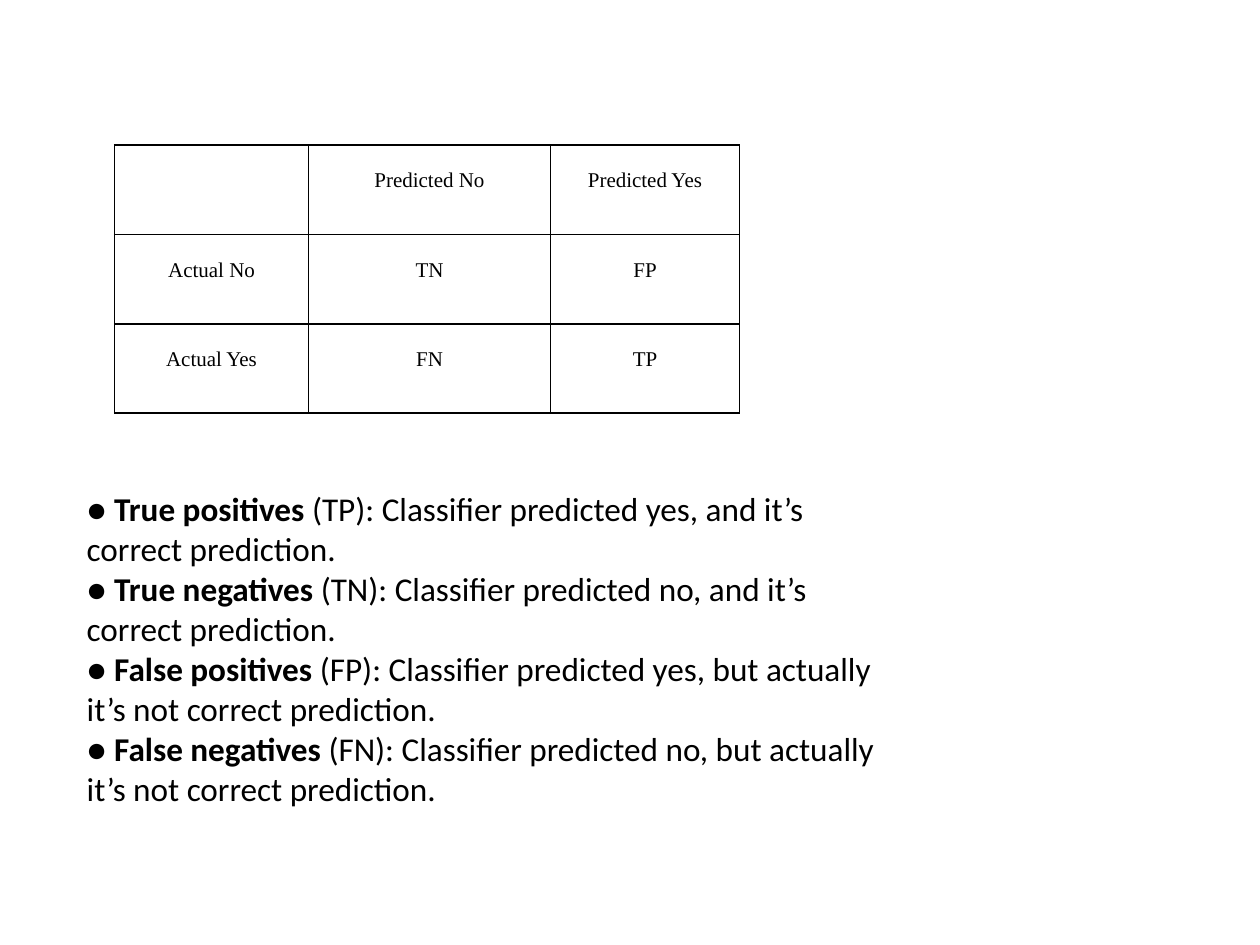
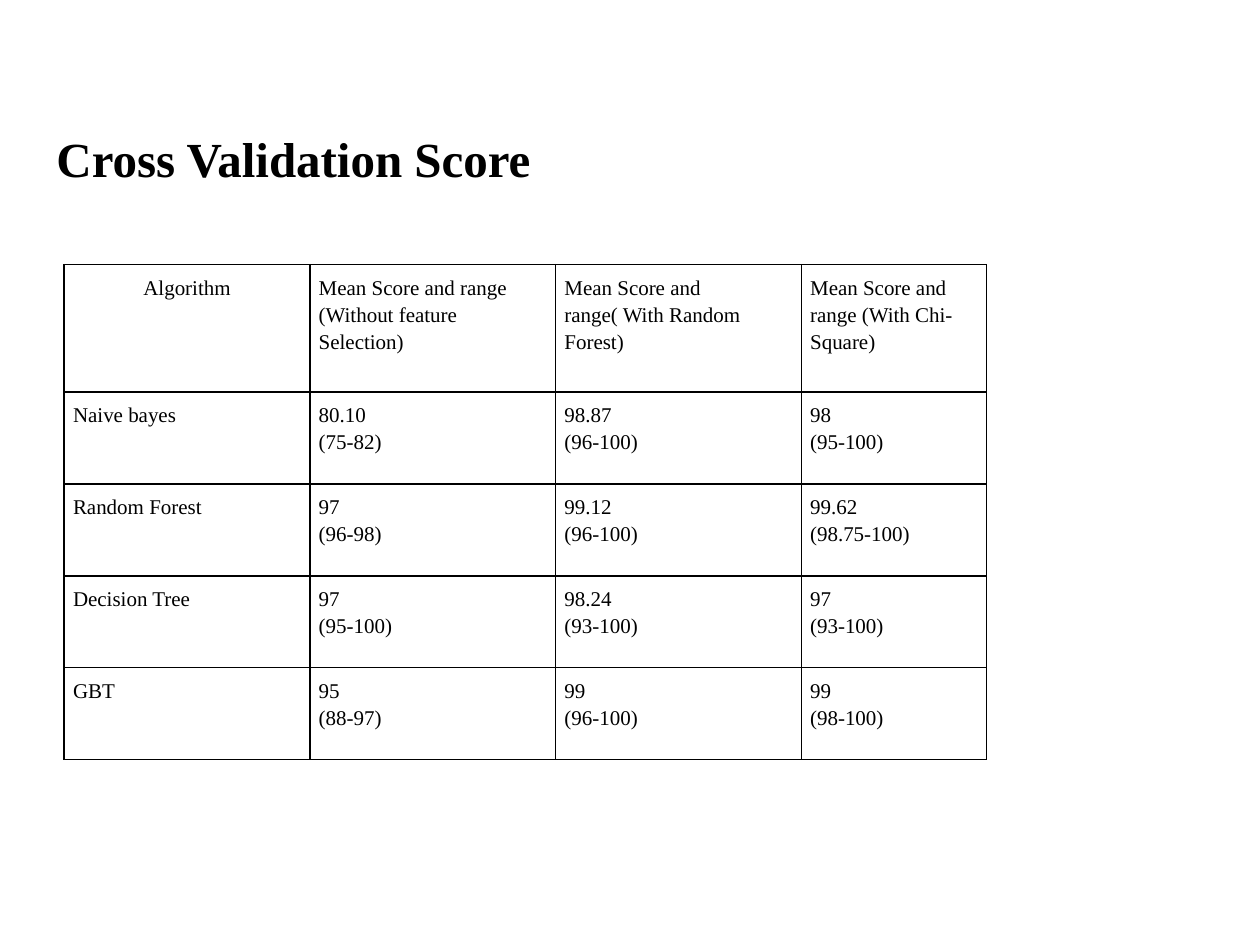
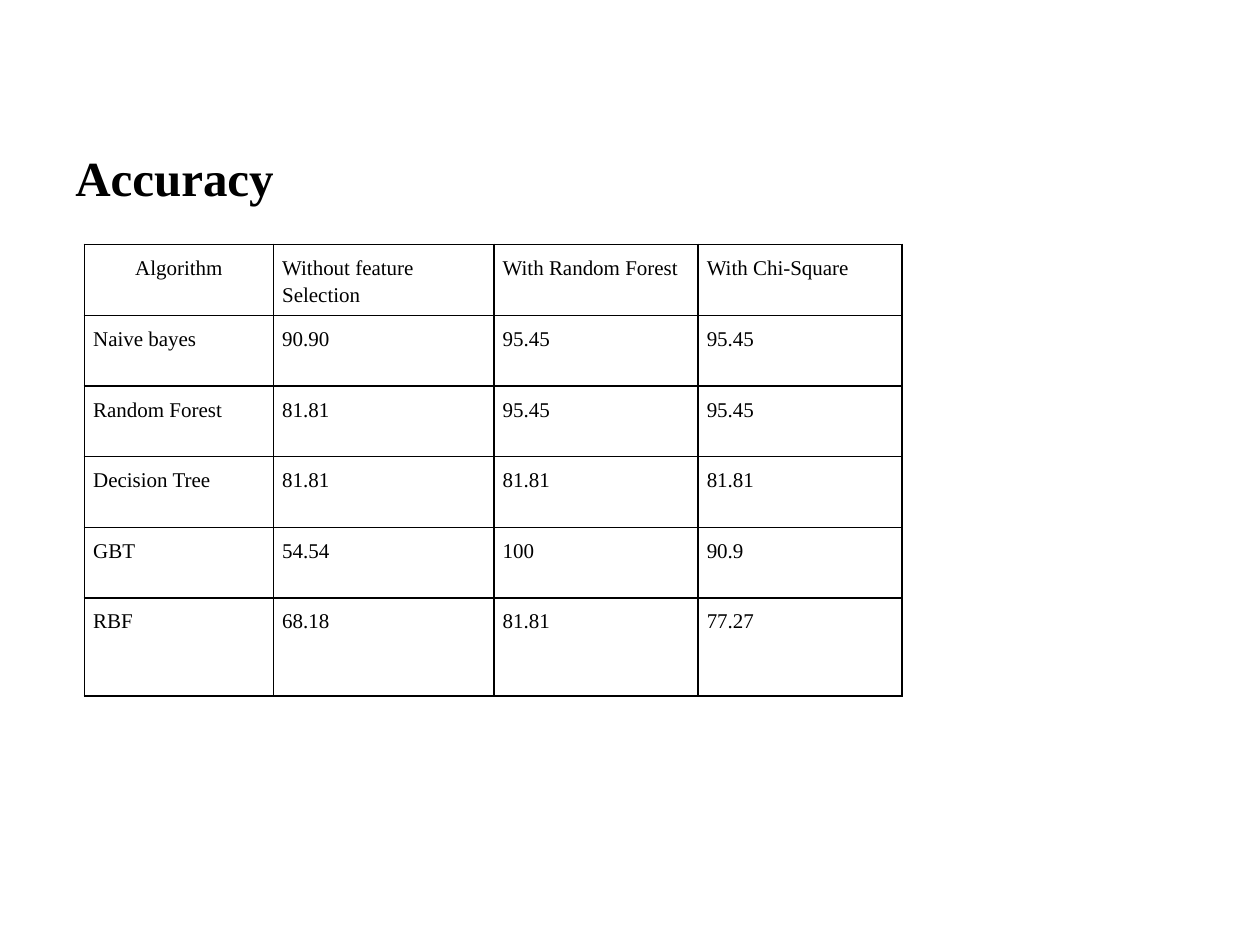
from lxml.etree import SubElement
from pptx import Presentation
from pptx.dml.color import RGBColor
from pptx.enum.text import MSO_ANCHOR, MSO_AUTO_SIZE, PP_ALIGN
from pptx.oxml.ns import qn
from pptx.util import Inches, Pt

BLACK = "000000"
SERIF = "Times New Roman"
SANS = "Calibri"

CONFUSION_MATRIX = [
    ["", "Predicted No", "Predicted Yes"],
    ["Actual No", "TN", "FP"],
    ["Actual Yes", "FN", "TP"],
]
DEFINITIONS = [
    ("True positives ", "(TP): Classifier predicted yes, and it’s correct prediction."),
    ("True negatives ", "(TN): Classifier predicted no, and it’s correct prediction."),
    ("False positives ", "(FP): Classifier predicted yes, but actually it’s not correct prediction."),
    ("False negatives ", "(FN): Classifier predicted no, but actually it’s not correct prediction."),
]
CROSS_VALIDATION = [
    ["Algorithm", "Mean Score and range (Without feature Selection)",
     "Mean Score and range( With Random Forest)", "Mean Score and range (With Chi-Square)"],
    ["Naive bayes", "80.10\n(75-82)", "98.87\n(96-100)", "98\n(95-100)"],
    ["Random Forest", "97\n(96-98)", "99.12\n(96-100)", "99.62\n(98.75-100)"],
    ["Decision Tree", "97\n(95-100)", "98.24\n(93-100)", "97\n(93-100)"],
    ["GBT", "95\n(88-97)", "99\n(96-100)", "99\n(98-100)"],
]
ACCURACY = [
    ["Algorithm", "Without feature Selection", "With Random Forest", "With Chi-Square"],
    ["Naive bayes", "90.90", "95.45", "95.45"],
    ["Random Forest", "81.81", "95.45", "95.45"],
    ["Decision Tree", "81.81", "81.81", "81.81"],
    ["GBT", "54.54", "100", "90.9"],
    ["RBF", "68.18", "81.81", "77.27"],
]


def rgb(color):
    return RGBColor.from_string(color)


def add_run(paragraph, text, size=12, font=SERIF, bold=False, color=BLACK):
    run = paragraph.add_run()
    run.text = text
    run.font.size = Pt(size)
    run.font.name = font
    run.font.bold = bold
    run.font.color.rgb = rgb(color)


def add_paragraphs(frame, paragraphs, align=PP_ALIGN.LEFT, spacing=1.0, **style):
    """Fill a text frame; each paragraph is a list of (text, bold) runs."""
    for index, runs in enumerate(paragraphs):
        paragraph = frame.add_paragraph() if index else frame.paragraphs[0]
        paragraph.alignment = align
        paragraph.line_spacing = spacing
        for text, bold in runs:
            add_run(paragraph, text, bold=bold, **style)


def add_text(slide, box, paragraphs, top_inset=0.05, **style):
    frame = slide.shapes.add_textbox(*map(Inches, box)).text_frame
    frame.word_wrap = True
    frame.auto_size = MSO_AUTO_SIZE.NONE
    frame.margin_top = Inches(top_inset)
    add_paragraphs(frame, paragraphs, **style)


def add_title(slide, box, title):
    add_text(slide, box, [[(title, True)]], top_inset=0.1, size=28)


def set_borders(cell, color=BLACK, width=1):
    properties = cell._tc.get_or_add_tcPr()
    for side in ("a:lnL", "a:lnR", "a:lnT", "a:lnB"):
        line = SubElement(properties, qn(side), w=str(Pt(width)))
        fill = SubElement(line, qn("a:solidFill"))
        SubElement(fill, qn("a:srgbClr"), val=color)


def add_grid(slide, left, top, rows, widths, heights, insets=(0.07, 0.07),
             spacing=1.15, centre_all=False):
    """Add a plain ruled table; insets are the top and bottom cell margins."""
    table = slide.shapes.add_table(
        len(rows), len(widths), Inches(left), Inches(top),
        Inches(sum(widths)), Inches(sum(heights))).table
    table.first_row = table.horz_banding = False
    for column, width in zip(table.columns, widths):
        column.width = Inches(width)
    for r, (row, height) in enumerate(zip(rows, heights)):
        table.rows[r].height = Inches(height)
        for c, text in enumerate(row):
            cell = table.cell(r, c)
            set_borders(cell)
            cell.fill.background()
            cell.vertical_anchor = MSO_ANCHOR.TOP
            cell.margin_left = cell.margin_right = Inches(0.07)
            cell.margin_top, cell.margin_bottom = map(Inches, insets)
            if text:
                centred = centre_all or (r, c) == (0, 0)
                add_paragraphs(cell.text_frame,
                               [[(line, False)] for line in text.split("\n")],
                               align=PP_ALIGN.CENTER if centred else PP_ALIGN.LEFT,
                               spacing=spacing)


def main():
    deck = Presentation()
    deck.slide_width, deck.slide_height = Inches(10), Inches(7.5)
    matrix, validation, accuracy = [
        deck.slides.add_slide(deck.slide_layouts[6]) for _ in range(3)]

    add_text(matrix, (0.59, 3.83, 6.46, 2.66),
             [[("● ", False), (term, True), (meaning, False)]
              for term, meaning in DEFINITIONS], size=19, font=SANS)
    add_grid(matrix, 0.91, 1.15, CONFUSION_MATRIX, [1.54, 1.92, 1.5], [0.71] * 3,
             insets=(0.18, 0), spacing=1.07, centre_all=True)

    add_title(validation, (0.35, 0.92, 9, 5.71), "Cross Validation Score")
    add_grid(validation, 0.51, 2.1, CROSS_VALIDATION,
             [1.95] * 3 + [1.47], [1.01] + [0.73] * 4)

    add_title(accuracy, (0.5, 1.07, 9, 4.95), "Accuracy")
    add_grid(accuracy, 0.67, 1.94, ACCURACY,
             [1.5, 1.75, 1.62, 1.62], [0.56] * 5 + [0.78])

    deck.save("out.pptx")


if __name__ == "__main__":
    main()
